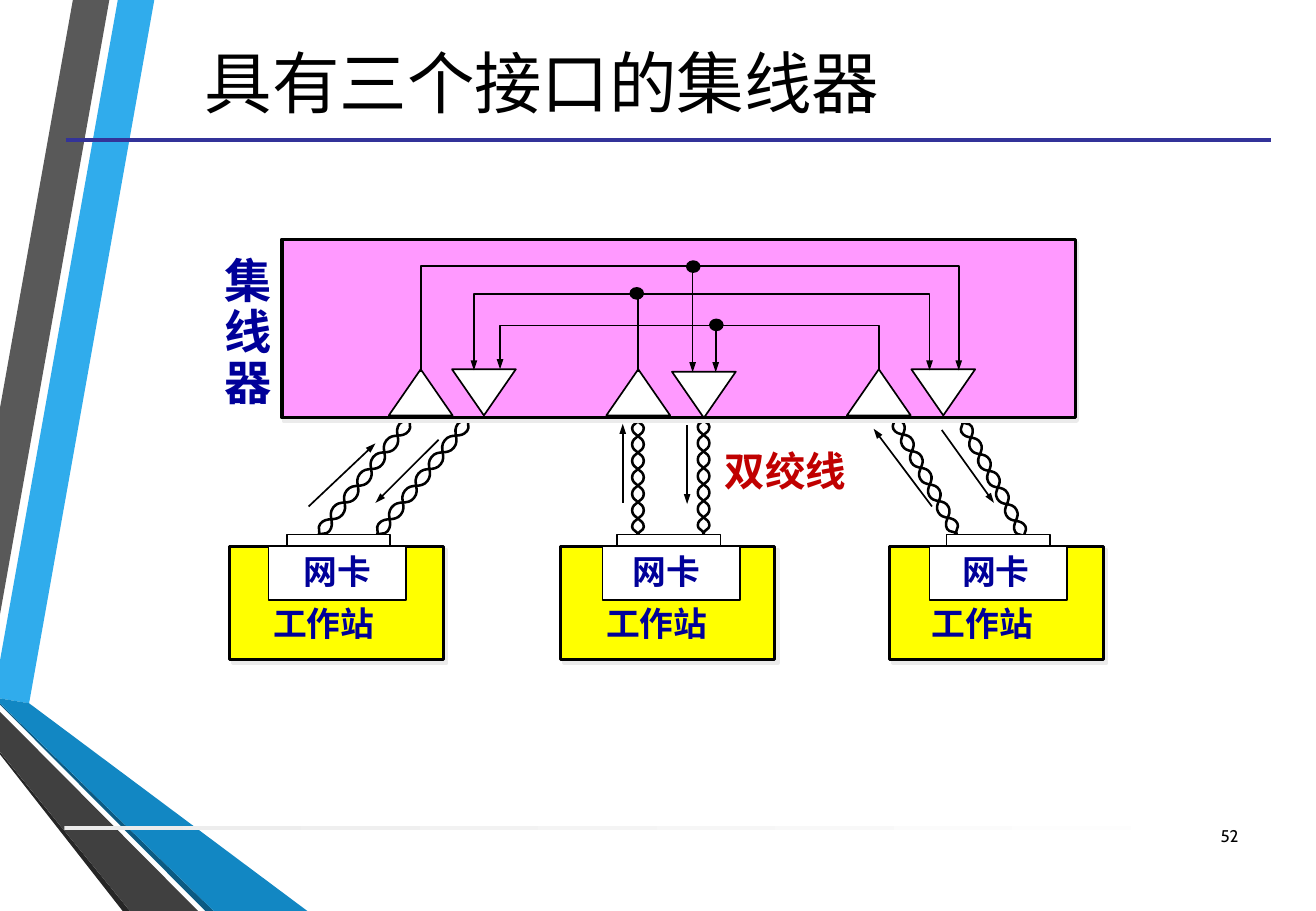
import pptx
import pptx.dml.color
import pptx.enum.shapes
import pptx.enum.text
import pptx.oxml.ns
import pptx.util
from lxml import etree


class Theme:
    font = "Cabin"
    black, white = "000000", "FFFFFF"
    sky, blue, teal = "30ACEC", "1287C3", "0C5A82"
    gray, dark, coal = "595959", "404040", "262626"
    pale, rule = "EBEBEB", "333399"
    pink, yellow, navy, red = "FF99FF", "FFFF00", "000099", "C00000"
    title, hub, cable, label, page = 40, 28, 24, 20, 10
    thin, wire, bold, ruler = 1, 1.5, 2, 2.25


# The grid has square cells of a tenth of an inch: 108.3 columns, 75 rows.
CELL = pptx.util.Inches(0.1)
COLS, ROWS = 108.3, 75
KIND = pptx.enum.shapes.MSO_SHAPE
ALIGN = pptx.enum.text.PP_ALIGN
ANCHOR = pptx.enum.text.MSO_ANCHOR
RGB = pptx.dml.color.RGBColor.from_string
qn = pptx.oxml.ns.qn

deck = pptx.Presentation()
deck.slide_width, deck.slide_height = round(COLS * CELL), round(ROWS * CELL)
slide = deck.slides.add_slide(deck.slide_layouts[6])


def draw(kind, *nums, fill=None, line=None, width=Theme.thin, arrow=False, shade=None, close=False):
    """Draw a preset in a box, a "line" between two ends, or a "path" through
    x, y pairs. Shade is the distance in points and angle of a shadow."""
    emu = [round(n * CELL) for n in nums]
    if kind == "line":
        item = slide.shapes.add_connector(pptx.enum.shapes.MSO_CONNECTOR.STRAIGHT, *emu)
    elif kind == "path":
        spots = list(zip(emu[::2], emu[1::2]))
        pen = slide.shapes.build_freeform(*spots[0])
        pen.add_line_segments(spots[1:], close=close)
        item = pen.convert_to_shape()
    else:
        item = slide.shapes.add_shape(kind, *emu)

    if line:
        item.line.color.rgb = RGB(line)
        item.line.width = pptx.util.Pt(width)
    else:
        item.line.fill.background()
    props = item.element.spPr
    if arrow:
        etree.SubElement(props.get_or_add_ln(), qn("a:tailEnd"), type="triangle", w="sm", len="med")
    if kind == "line":
        etree.SubElement(props, qn("a:effectLst"))
        return item

    item.shadow.inherit = False
    if fill:
        item.fill.solid()
        item.fill.fore_color.rgb = RGB(fill)
    else:
        item.fill.background()
    if shade:
        dist, angle = shade
        outer = etree.SubElement(props.find(qn("a:effectLst")), qn("a:outerShdw"),
                                 dist=str(pptx.util.Pt(dist)), dir=str(angle * 60000),
                                 algn="ctr", rotWithShape="0")
        etree.SubElement(outer, qn("a:srgbClr"), val=Theme.pale)
    return item


def write(text, box, size, color=Theme.navy, bold=True, align=ALIGN.LEFT,
          anchor=ANCHOR.TOP, wrap=False, space=1.0):
    frame = slide.shapes.add_textbox(*[round(n * CELL) for n in box]).text_frame
    frame.word_wrap, frame.vertical_anchor = wrap, anchor
    frame.text = text
    for para in frame.paragraphs:
        para.alignment, para.line_spacing = align, space
        font = para.runs[0].font
        font.name, font.size, font.bold = Theme.font, pptx.util.Pt(size), bold
        font.color.rgb = RGB(color)


# Ribbons down the left edge
ribbons = [
    (Theme.sky, (0, 54.4, 0, 57.5, 2.4, 57.9, 12.7, 0, 9.7, 0)),
    (Theme.gray, (9, 0, 6, 0, 0, 33.6, 0, 50.6)),
    (Theme.coal, (0, 61.9, 0, 62.1, 10.1, ROWS, 10.7, ROWS)),
    (Theme.teal, (0, 57.9, 0, 58, 16.9, ROWS, 17.6, ROWS)),
    (Theme.blue, (0, 57.9, 17.6, ROWS, 25.3, ROWS, 2.4, 57.9, 0, 57.5)),
    (Theme.dark, (0, 61.9, 10.7, ROWS, 16.3, ROWS, 0, 58.6)),
]
for color, nums in ribbons:
    draw("path", *nums, fill=color, close=True)

# Foot bar, title and rule
bar = draw(KIND.RECTANGLE, 5.3, 68, 97.5, 0.3)
bar.fill.gradient()
bar.fill.gradient_angle = 0
for stop, color, place in zip(bar.fill.gradient_stops, (Theme.pale, Theme.white), (0, 1)):
    stop.color.rgb = RGB(color)
    stop.position = place
draw("line", 5.4, 11.5, 104.6, 11.5, line=Theme.rule, width=Theme.ruler)
write("具有三个接口的集线器", (3.7, 0.5, 81.8, 12.4), Theme.title, Theme.black,
      bold=False, align=ALIGN.CENTER, anchor=ANCHOR.MIDDLE, wrap=True)

# Twisted pairs: two mirrored waves, laid flat and turned about their middle
TURNS, SWING = 7, 0.48
cables = [(30, 39.3, 12.3, 308.4), (34.8, 39.3, 12.3, 308.4),
          (76.15, 39.2, 10.9, 61.7), (81.75, 39.45, 10.9, 61.7),
          (57.9, 39.2, 9.5, 90), (52.5, 39.3, 9.5, 90)]
for x, y, span, turn in cables:
    left, half = x - span / 2, span / TURNS
    for side in (-SWING, SWING):
        knots = [(left, y)]
        knots += [(left + (n + 0.5) * half, y + side * (-1) ** n) for n in range(TURNS)]
        knots += [(left + span, y)]
        strand = list(knots[0])
        for (x1, y1), (x2, y2) in zip(knots, knots[1:]):
            mid = (x1 + x2) / 2
            strand += [mid, y1, mid, y2, x2, y2]
        wave = draw("path", *strand, line=Theme.black, width=Theme.wire)
        wave.rotation = turn
        legs = list(wave.element.iter(qn("a:lnTo")))
        trace = legs[0].getparent()
        for n in range(0, len(legs), 3):
            curve = etree.SubElement(trace, qn("a:cubicBezTo"))
            for leg in legs[n:n + 3]:
                curve.append(leg[0])
                trace.remove(leg)

# Hub with an input and an output gate at each port
draw(KIND.RECTANGLE, 23.2, 19.7, 65.3, 14.7, fill=Theme.pink, line=Theme.black,
     width=Theme.bold, shade=(2.2, 63))
for left, top, turn in [(32, 30.4, 0), (69.7, 30.4, 0), (49.9, 30.4, 0),
                        (75, 30.4, 180), (37.2, 30.4, 180), (55.3, 30.6, 180)]:
    gate = draw(KIND.ISOSCELES_TRIANGLE, left, top, 5.25, 3.8, fill=Theme.white, line=Theme.black)
    gate.rotation = turn

buses = [
    (72.35, 30.4, 72.35, 26.8, 41.15, 26.8, 41.15, 30.4),
    (52.5, 30.6, 52.5, 24.2, 76.5, 24.2, 76.5, 30.5),
    (52.5, 24.2, 39, 24.2, 39, 30.5),
    (34.65, 30.6, 34.65, 21.9, 78.9, 21.9, 78.9, 30.5),
]
for nums in buses:
    draw("path", *nums, line=Theme.black, arrow=True)
for x, y in [(58.9, 26.9), (57, 22.1)]:
    draw("line", x, y, x, 30.65, line=Theme.black, arrow=True)
write("集\n线\n器", (17.5, 20.7, 5.9, 13.7), Theme.hub, space=0.9)

# Stations: left edges of the box, card, plug, card name and station name
stations = [(46.15, 49.6, 50.8, 51.1, 48.9),
            (18.9, 22.1, 23.6, 24, 21.5),
            (73.2, 76.5, 77.9, 78.2, 75.7)]
for left, card, plug, name, place in stations:
    draw(KIND.RECTANGLE, left, 45, 17.6, 9.3, fill=Theme.yellow, line=Theme.black,
         width=Theme.bold, shade=(2.8, 45))
    draw(KIND.RECTANGLE, card, 45, 11.3, 4.4, fill=Theme.white, line=Theme.black)
    write("网卡", (name, 44.85, 7.6, 4.3), Theme.label)
    write("工作站", (place, 49.1, 10.5, 4.3), Theme.label)
    draw(KIND.RECTANGLE, plug, 44, 8.5, 0.9, fill=Theme.white, line=Theme.black)

# Junctions
for x, y in [(52.4, 24.15), (57.05, 21.95), (58.95, 26.75)]:
    draw(KIND.OVAL, x - 0.53, y - 0.45, 1.06, 0.9, fill=Theme.black, line=Theme.black)

# Signal directions
flows = [(51.25, 41.4, 51.25, 34.9), (56.55, 35, 56.55, 41.5), (25.4, 41.7, 30.9, 36.5),
         (36.1, 36.2, 30.9, 41.4), (76.7, 41.7, 71.9, 35.3), (77.5, 35.4, 81.8, 41.4)]
for ends in flows:
    draw("line", *ends, line=Theme.black, arrow=True)
write("双绞线", (58.65, 36.2, 12.1, 5), Theme.cable, Theme.red)
write("52", (97.8, 66.8, 5.1, 4), Theme.page, Theme.black, bold=False,
      align=ALIGN.RIGHT, anchor=ANCHOR.MIDDLE, wrap=True)

deck.save("out.pptx")
